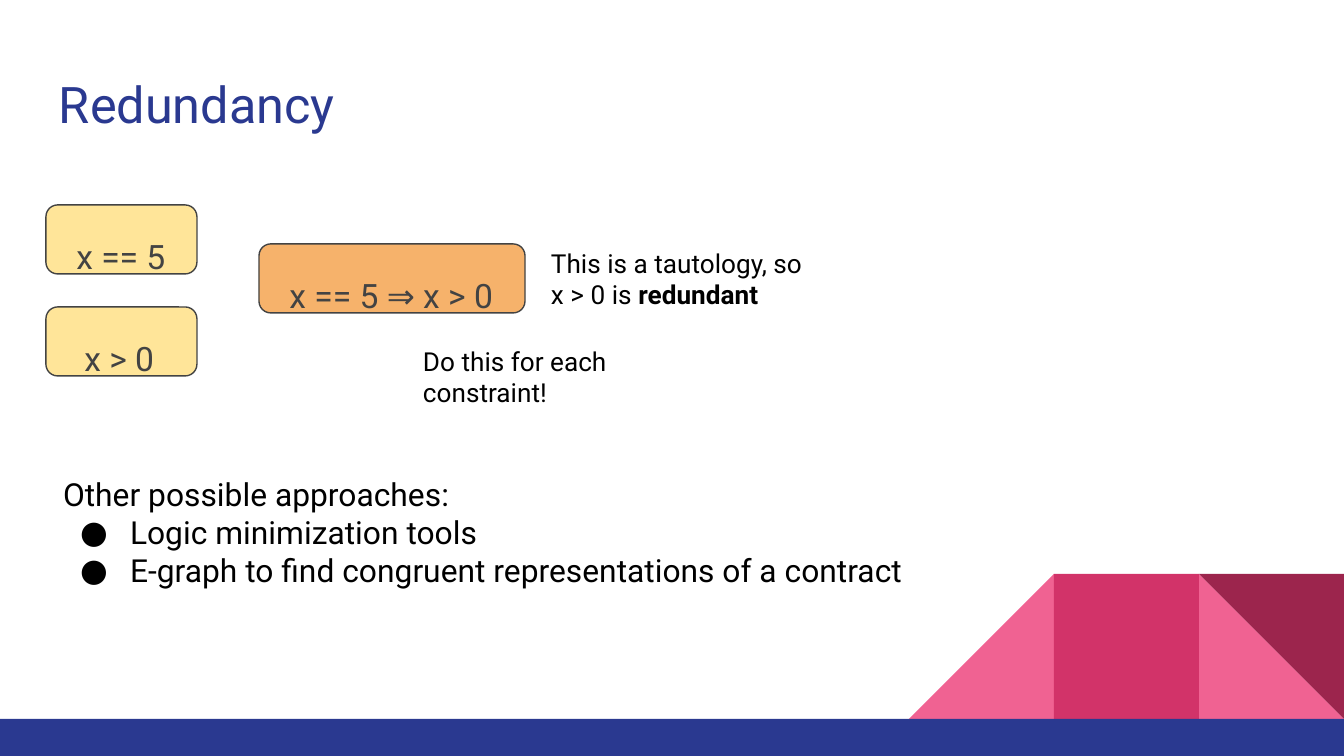
from lxml.etree import SubElement
from pptx import Presentation
from pptx.dml.color import RGBColor
from pptx.enum.shapes import MSO_SHAPE as SHAPE
from pptx.enum.text import MSO_ANCHOR as ANCHOR, MSO_AUTO_SIZE as AUTO_SIZE, PP_ALIGN as ALIGN
from pptx.oxml.ns import qn
from pptx.util import Pt

PX = 914400 / 134.4
WIDTH, HEIGHT = 1344, 756
BLACK, GREY, NAVY = "000000", "434343", "2A3990"
PINK, ROSE, WINE = "F06292", "D23369", "9C254D"
YELLOW, ORANGE = "FFE599", "F6B26B"


def paint(target, color):
    """Give a fill a solid colour, or a font its colour."""
    if hasattr(target, "solid"):
        target.solid()
        target.fore_color.rgb = RGBColor.from_string(color)
    else:
        target.color.rgb = RGBColor.from_string(color)


def write(para, text, size, color, bold=False):
    para.alignment = ALIGN.LEFT
    span = para.add_run()
    span.text = text
    span.font.name = "Roboto"
    span.font.size = Pt(size)
    span.font.bold = bold
    paint(span.font, color)


deck = Presentation()
deck.slide_width, deck.slide_height = round(WIDTH * PX), round(HEIGHT * PX)
page = deck.slides.add_slide(deck.slide_layouts[1])
title, body = page.placeholders

# Corner decoration: a row of square tiles standing on the footer bar
tile, footer_top = 145, 719
tiles = [
    (SHAPE.RIGHT_TRIANGLE, 1, PINK, 0, False),
    (SHAPE.RIGHT_TRIANGLE, 3, PINK, 0, True),
    (SHAPE.RECTANGLE, 2, ROSE, 0, False),
    (SHAPE.RIGHT_TRIANGLE, 1, WINE, 180, False),
]
for kind, from_right, color, rotation, flipped in tiles:
    shape = page.shapes.add_shape(
        kind, *(round(n * PX) for n in (WIDTH - from_right * tile, footer_top - tile, tile, tile)))
    shape.shadow.inherit = False
    paint(shape.fill, color)
    shape.line.fill.background()
    shape.rotation = rotation
    if flipped:
        shape._element.spPr.find(qn("a:xfrm")).set("flipH", "1")

footer = page.shapes.add_shape(
    SHAPE.RECTANGLE, *(round(n * PX) for n in (0, footer_top, WIDTH, HEIGHT - footer_top)))
footer.shadow.inherit = False
paint(footer.fill, NAVY)
footer.line.fill.background()

# Constraint cards: text, left, top, width, left inset, fill
cards = [
    ("x == 5", 46, 205, 151, 27, YELLOW),
    ("x > 0", 46, 307, 151, 35, YELLOW),
    ("x == 5 ⇒ x > 0", 259, 244, 266, 27, ORANGE),
]
for text, left, top, width, inset, color in cards:
    card = page.shapes.add_shape(
        SHAPE.ROUNDED_RECTANGLE, *(round(n * PX) for n in (left, top, width, 69)))
    card.shadow.inherit = False
    card.adjustments[0] = 0.17
    paint(card.fill, color)
    paint(card.line.fill, GREY)
    card.line.width = Pt(0.75)
    frame = card.text_frame
    frame.word_wrap = True
    frame.vertical_anchor = ANCHOR.MIDDLE
    frame.margin_left, frame.margin_top = round(inset * PX), round(27 * PX)
    frame.margin_right, frame.margin_bottom = round(13 * PX), 0
    para = frame.paragraphs[0]
    para.line_spacing = 1.15
    para.space_after = Pt(12)
    write(para, text, 18, GREY)

# Title, remarks and list share the same insets
tautology, repeat = (page.shapes.add_textbox(0, 0, 0, 0) for _ in range(2))
places = [
    (title, 46, 60, 1252, 89),
    (tautology, 538, 234, 296, 90),
    (repeat, 410, 332, 296, 90),
    (body, 50, 462, 934, 142),
]
for box, *place in places:
    box.left, box.top, box.width, box.height = (round(n * PX) for n in place)
    frame = box.text_frame
    frame.word_wrap = True
    frame.auto_size = AUTO_SIZE.NONE
    frame.vertical_anchor = ANCHOR.TOP
    frame.margin_left = frame.margin_right = round(13 * PX)
    frame.margin_top = frame.margin_bottom = round(13 * PX)

write(title.text_frame.paragraphs[0], "Redundancy", 27, NAVY)
remark = tautology.text_frame.paragraphs[0]
write(remark, "This is a tautology, so x > 0 is ", 14, BLACK)
write(remark, "redundant", 14, BLACK, bold=True)
write(repeat.text_frame.paragraphs[0], "Do this for each constraint!", 14, BLACK)

lines = [
    ("Other possible approaches:", False),
    ("Logic minimization tools", True),
    ("E-graph to find congruent representations of a contract", True),
]
for index, (text, bulleted) in enumerate(lines):
    para = body.text_frame.add_paragraph() if index else body.text_frame.paragraphs[0]
    para.space_before = Pt(0)
    write(para, text, 17, BLACK)
    props = para._p.get_or_add_pPr()
    props.set("marL", str(round(67 * PX) if bulleted else 0))
    props.set("indent", str(round(-50 * PX) if bulleted else 0))
    if bulleted:
        SubElement(SubElement(props, qn("a:buClr")), qn("a:srgbClr")).set("val", BLACK)
        SubElement(props, qn("a:buFont")).set("typeface", "Roboto")
        SubElement(props, qn("a:buChar")).set("char", "●")
    else:
        SubElement(props, qn("a:buNone"))

deck.save("out.pptx")
